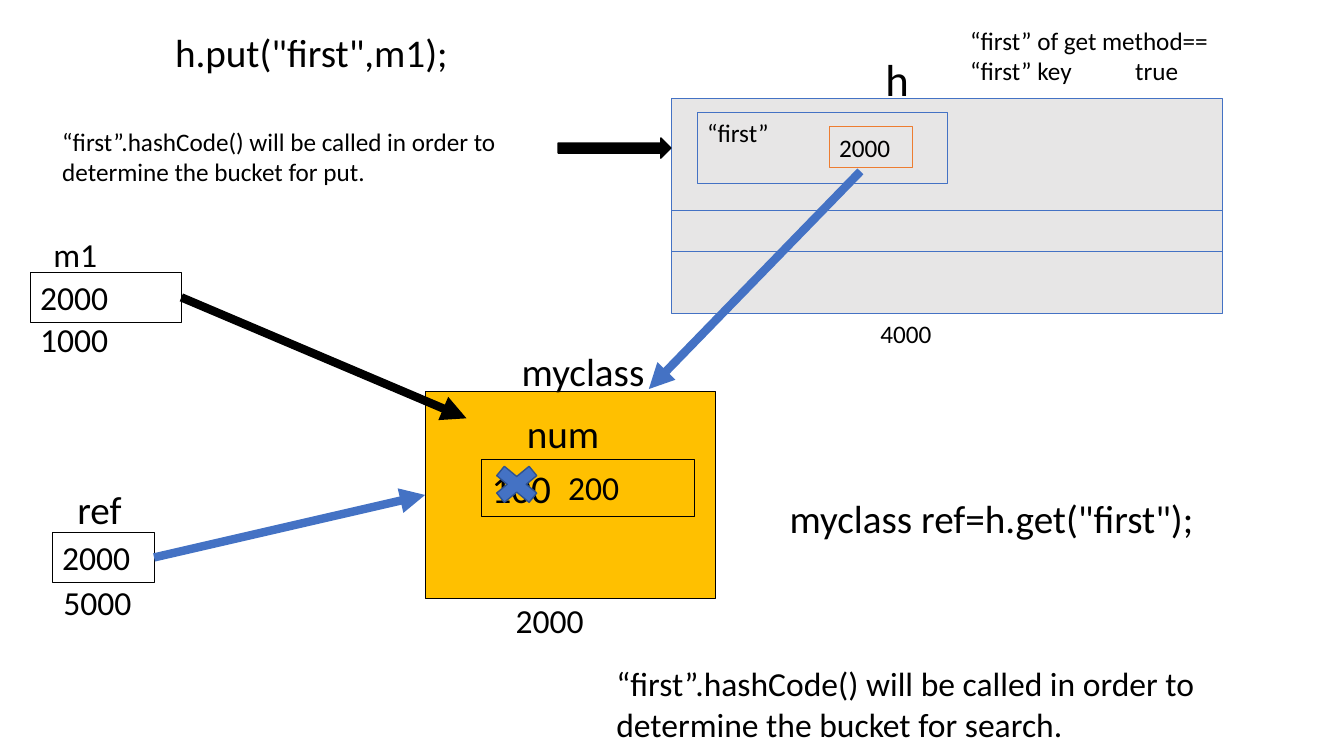
from lxml.etree import SubElement
from pptx import Presentation
from pptx.dml.color import RGBColor
from pptx.enum.shapes import MSO_CONNECTOR, MSO_SHAPE
from pptx.enum.text import MSO_ANCHOR, PP_ALIGN
from pptx.oxml.ns import qn
from pptx.util import Pt

BLACK, BLUE, DARK_BLUE = "000000", "4472C4", "2F528F"
GREY, GOLD, ORANGE = "E7E6E6", "FFC000", "ED7D31"
LEFT, RIGHT = 1, 3


def color(hex_string):
    """Turn a hex string into a colour."""
    return RGBColor.from_string(hex_string)


def write(shape, text, size, tab=None):
    """Write black Calibri text at the top left of a shape, with an optional tab stop."""
    frame = shape.text_frame
    frame.word_wrap = True
    frame.vertical_anchor = MSO_ANCHOR.TOP
    paragraph = frame.paragraphs[0]
    paragraph.alignment = PP_ALIGN.LEFT
    if tab:
        tab_list = SubElement(paragraph._p.get_or_add_pPr(), qn("a:tabLst"))
        SubElement(tab_list, qn("a:tab"), pos=str(Pt(tab)), algn="l")
    run = paragraph.add_run()
    run.text = text
    run.font.name = "Calibri"
    run.font.size = Pt(size)
    run.font.color.rgb = color(BLACK)


def add_label(slide, text, left, top, width, size, lines=1, tab=None):
    """Add a text box whose height follows from its font size and line count."""
    height = size * 1.2 * lines + 7.2
    box = slide.shapes.add_textbox(Pt(left), Pt(top), Pt(width), Pt(height))
    write(box, text, size, tab)


def add_block(slide, left, top, width, height, line, fill=None,
              preset=MSO_SHAPE.RECTANGLE, weight=0.75):
    """Add an outlined preset shape, hollow unless a fill is given."""
    shape = slide.shapes.add_shape(preset, Pt(left), Pt(top), Pt(width), Pt(height))
    shape.shadow.inherit = False
    shape.line.color.rgb = color(line)
    shape.line.width = Pt(weight)
    if fill:
        shape.fill.solid()
        shape.fill.fore_color.rgb = color(fill)
    else:
        shape.fill.background()
    return shape


def add_value(slide, text, size, left, top, width, height, line=BLACK):
    """Add a hollow box that holds a value."""
    shape = add_block(slide, left, top, width, height, line)
    write(shape, text, size)
    return shape


def add_line(slide, start, end, line, weight):
    """Add a straight connector without a shadow."""
    connector = slide.shapes.add_connector(
        MSO_CONNECTOR.STRAIGHT, *(Pt(value) for value in (*start, *end)))
    connector.line.color.rgb = color(line)
    connector.line.width = Pt(weight)
    SubElement(connector._element.spPr, qn("a:effectLst"))
    return connector


def add_reference(slide, start, end, line):
    """Add a thick arrow that shows where a reference points."""
    connector = add_line(slide, start, end, line, 6)
    SubElement(connector.line._get_or_add_ln(), qn("a:tailEnd"), type="triangle")
    return connector


def add_map(slide):
    """Draw the hash map with its buckets and its entry."""
    left, width = 480.2, 393.2
    add_block(slide, left, 70.6, width, 153.4, BLUE, GREY)
    for top in (150.5, 179.3):
        add_line(slide, (left, top), (left + width, top), BLUE, 0.5)
    add_value(slide, "“first”", 18, 498.2, 80.6, 179.3, 50.4, BLUE)
    add_value(slide, "2000", 18, 592.6, 90.7, 59.8, 28.8, ORANGE)
    add_label(slide, "h", 625.7, 33.1, 57.6, 32)
    add_label(slide, "4000", 622, 223.9, 121, 18)


def add_object(slide):
    """Draw the myclass object and return its block."""
    block = add_block(slide, 303.8, 279.4, 207.4, 148.3, BLACK, GOLD)
    add_label(slide, "myclass", 365.8, 244.8, 126.7, 28)
    add_label(slide, "2000", 361.4, 424.8, 71.3, 24)
    add_label(slide, "num", 369.4, 288.7, 100, 28)
    add_value(slide, "100", 28, 344.2, 328.3, 151.9, 41)
    add_block(slide, 347, 327.6, 44.6, 36.7, DARK_BLUE, BLUE,
              MSO_SHAPE.MATH_MULTIPLY, 1)
    add_label(slide, "200", 398.9, 329.8, 69.8, 24)
    return block


def add_variables(slide, target):
    """Draw the variables m1 and ref with their arrows to the object."""
    add_label(slide, "m1", 31, 163.4, 50.4, 24)
    first = add_value(slide, "2000", 24, 21.6, 194.4, 108, 36)
    add_label(slide, "1000", 21.6, 223.9, 100.8, 24)
    arrow = add_reference(slide, (129.6, 212.4), (333.4, 298.8), BLACK)
    arrow.begin_connect(first, RIGHT)

    add_label(slide, "ref", 48.2, 343.4, 85, 28)
    second = add_value(slide, "2000", 24, 37.4, 380.2, 72.7, 36)
    add_label(slide, "5000", 38.2, 411.8, 81.4, 24)
    arrow = add_reference(slide, (110.1, 398.2), (303.8, 353.5), BLUE)
    arrow.begin_connect(second, RIGHT)
    arrow.end_connect(target, LEFT)


def add_calls(slide):
    """Add the method calls and the notes on hashing."""
    add_label(slide, 'h.put("first",m1);', 118, 16.6, 247.7, 28)
    add_label(slide, 'myclass ref=h.get("first");', 557.3, 349.2, 403.2, 28)
    add_label(slide, "“first”.hashCode() will be called in order to "
              "determine the bucket for put.", 37.4, 86.4, 347, 18, 2)
    add_label(slide, "“first”.hashCode() will be called in order to "
              "determine the bucket for search.", 433.4, 470.2, 440, 24, 2)
    add_label(slide, "“first” of get method== “first” key\ttrue",
              686.2, 14.4, 186.5, 18, 2, 118)
    add_block(slide, 398.9, 98.6, 80.6, 14.4, BLACK, BLACK,
              MSO_SHAPE.RIGHT_ARROW, 1)


def main():
    """Build the slide and save it."""
    presentation = Presentation()
    presentation.slide_width = Pt(960.5)
    presentation.slide_height = Pt(540)
    slide = presentation.slides.add_slide(presentation.slide_layouts[6])
    add_map(slide)
    target = add_object(slide)
    add_variables(slide, target)
    add_reference(slide, (614.9, 122.4), (463.7, 277.9), BLUE)
    add_calls(slide)
    presentation.save("out.pptx")


if __name__ == "__main__":
    main()
